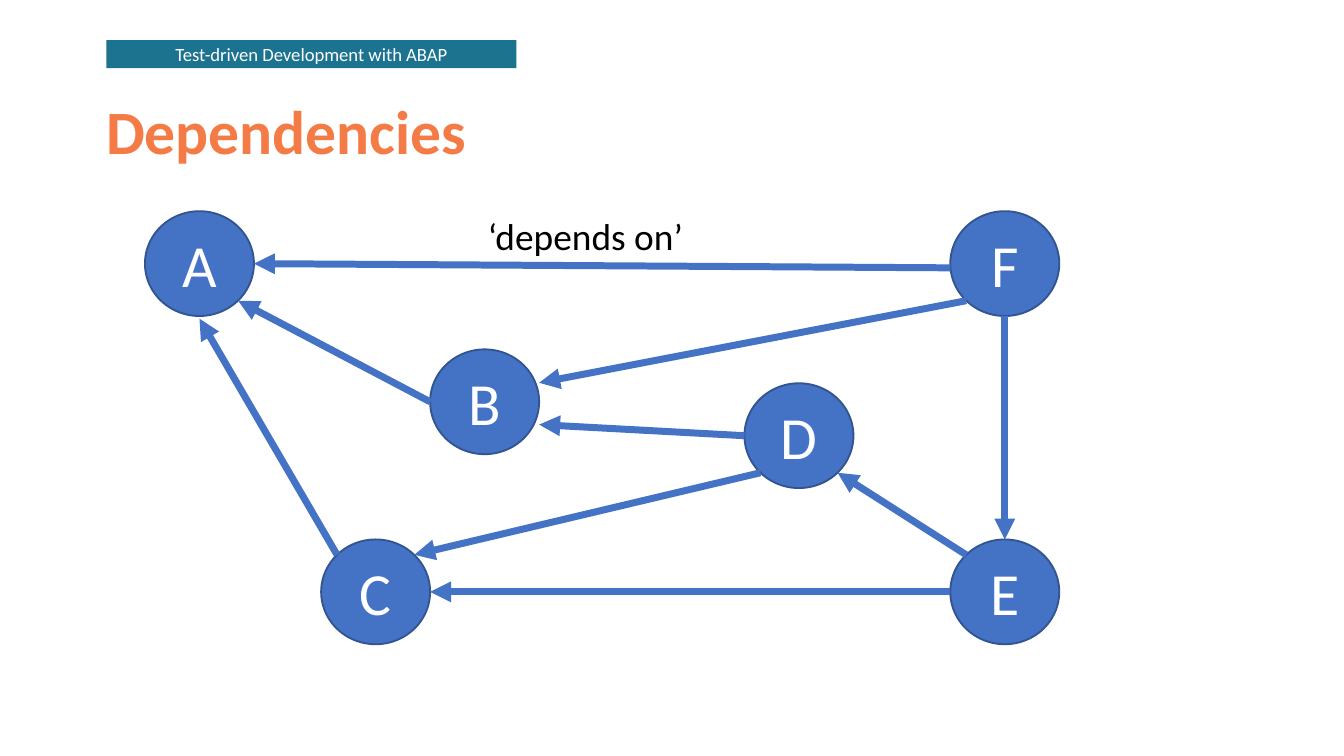
from math import cos, radians, sin

from lxml.etree import SubElement
from pptx import Presentation
from pptx.dml.color import RGBColor
from pptx.enum.shapes import MSO_CONNECTOR, MSO_SHAPE
from pptx.enum.text import MSO_ANCHOR, MSO_AUTO_SIZE, PP_ALIGN
from pptx.oxml.ns import qn
from pptx.util import Cm, Pt

COLORS = {
    "title": "F47B46",
    "node": "4472C4",
    "edge": "325491",
    "banner": "1C7390",
    "light": "FFFFFF",
    "dark": "000000",
}
WIDE, HIGH = 2.06, 1.98
NODES = {
    "A": (2.74, 3.99),
    "B": (8.13, 6.6),
    "C": (6.07, 10.19),
    "D": (14.07, 7.24),
    "E": (17.96, 10.19),
    "F": (17.96, 3.99),
}
ANGLES = {"E": 0, "SE": 45, "S": 90, "SW": 135, "W": 180, "NW": 225, "N": 270, "NE": 315}
ARROWS = [
    (("B", "W"), ("A", "SE")),
    (("C", "NW"), ("A", "S", 0.05)),
    (("F", "W", 0.08), ("A", "E")),
    (("F", "SW"), ("B", "E", -0.36)),
    (("D", "SW"), ("C", "NE")),
    (("E", "W"), ("C", "E")),
    (("E", "NW"), ("D", "SE")),
    (("F", "S"), ("E", "N")),
    (("D", "W"), ("B", "E", 0.43)),
]


def point(name, side, shift=0):
    """Return the spot on a node's rim at a compass side, moved down by shift."""
    left, top = NODES[name]
    turn = radians(ANGLES[side])
    x = left + WIDE / 2 * (1 + cos(turn))
    y = top + HIGH / 2 * (1 + sin(turn)) + shift
    return Cm(round(x, 2)), Cm(round(y, 2))


class Deck:
    """Hold the style and the current slide."""

    font = "Calibri"

    def __init__(self):
        """Open a deck with one title slide."""
        self.file = Presentation()
        self.file.slide_width, self.file.slide_height = Cm(25.4), Cm(14.28)
        self.slide = self.file.slides.add_slide(self.file.slide_layouts[5])
        self.shapes = self.slide.shapes

    def color(self, name):
        """Return a named colour."""
        return RGBColor.from_string(COLORS[name])

    def add_text(self, frame, text, size, color, align=PP_ALIGN.LEFT, bold=False):
        """Add one styled run to a frame."""
        line = frame.paragraphs[0]
        line.alignment = align
        run = line.add_run()
        run.text = text
        run.font.name, run.font.size, run.font.bold = self.font, Pt(size), bold
        run.font.color.rgb = self.color(color)
        return line

    def title(self, text, *box):
        """Place and fill the title."""
        shape = self.shapes.title
        shape.left, shape.top, shape.width, shape.height = map(Cm, box)
        frame = shape.text_frame
        frame.auto_size = MSO_AUTO_SIZE.NONE
        frame.vertical_anchor = MSO_ANCHOR.MIDDLE
        self.add_text(frame, text, 33, "title", bold=True).line_spacing = 0.9

    def block(self, kind, text, size, fill, box, edge=None):
        """Add a filled shape with centred text."""
        shape = self.shapes.add_shape(kind, *map(Cm, box))
        shape.shadow.inherit = False
        shape.fill.solid()
        shape.fill.fore_color.rgb = self.color(fill)
        if edge:
            shape.line.color.rgb = self.color(edge)
            shape.line.width = Pt(1)
        else:
            shape.line.fill.background()
        frame = shape.text_frame
        frame.vertical_anchor = MSO_ANCHOR.MIDDLE
        self.add_text(frame, text, size, "light", PP_ALIGN.CENTER)

    def label(self, text, *box):
        """Add a plain text box."""
        frame = self.shapes.add_textbox(*map(Cm, box)).text_frame
        frame.word_wrap = False
        frame.auto_size = MSO_AUTO_SIZE.SHAPE_TO_FIT_TEXT
        self.add_text(frame, text, 20, "dark")

    def arrow(self, start, end):
        """Draw an arrow between two node rims."""
        link = self.shapes.add_connector(MSO_CONNECTOR.STRAIGHT, *point(*start), *point(*end))
        link.line.color.rgb = self.color("node")
        link.line.width = Pt(3.75)
        props = link.element.spPr
        SubElement(props.find(qn("a:ln")), qn("a:tailEnd"), type="triangle")
        SubElement(props, qn("a:effectLst"))


def main():
    """Build the dependency slide."""
    deck = Deck()
    deck.title("Dependencies", 1.75, 1.32, 21.9, 2.44)
    for name, spot in NODES.items():
        deck.block(MSO_SHAPE.OVAL, name, 32, "node", (*spot, WIDE, HIGH), "edge")
    for start, end in ARROWS:
        deck.arrow(start, end)
    deck.label("‘depends on’", 8.97, 3.91, 4.24, 1.12)
    deck.block(MSO_SHAPE.RECTANGLE, "Test-driven Development with ABAP", 10, "banner",
               (2.01, 0.76, 7.75, 0.53))
    deck.file.save("out.pptx")


if __name__ == "__main__":
    main()
